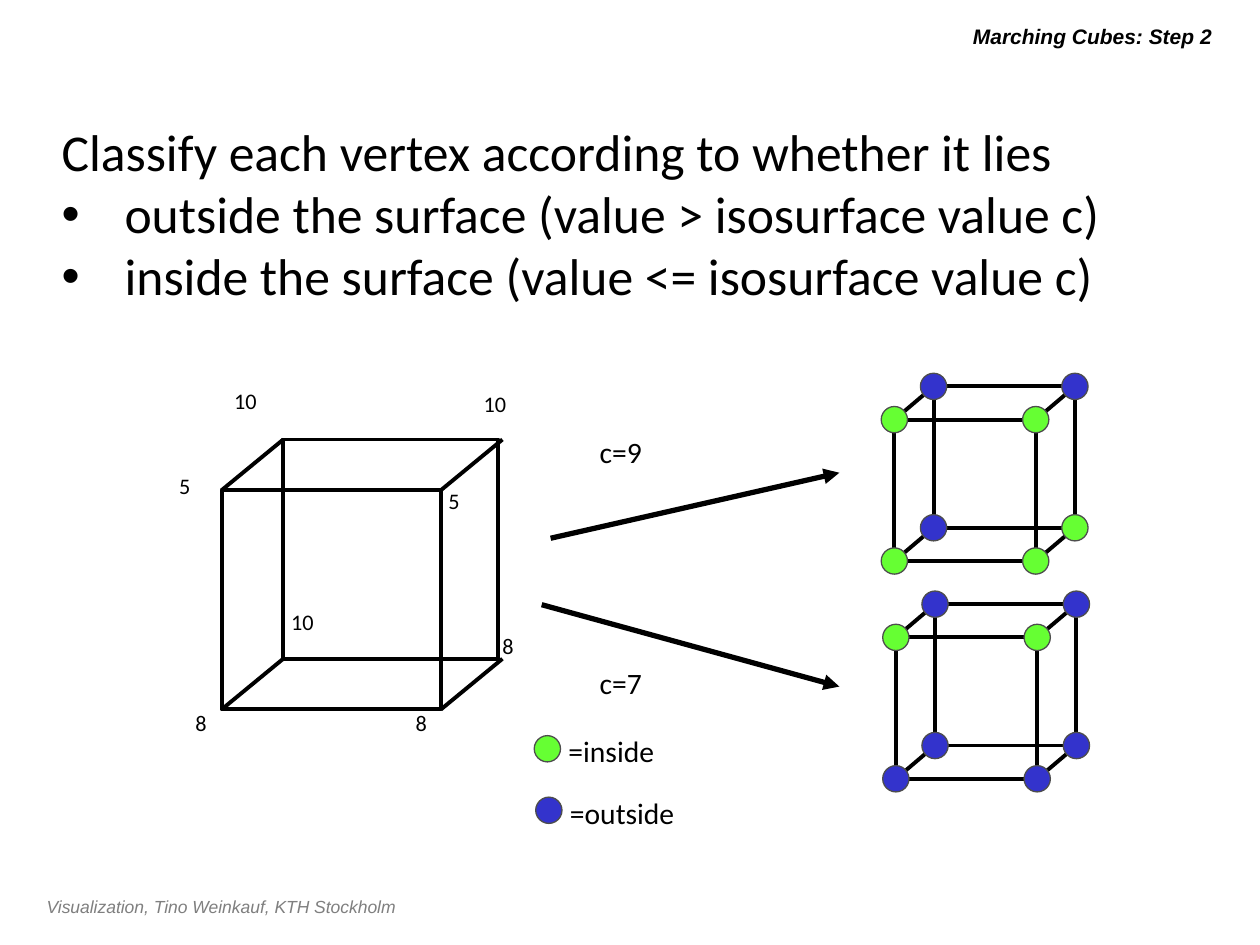
from itertools import product

from lxml import etree
from pptx import Presentation
from pptx import util as u
from pptx.dml.color import RGBColor
from pptx.enum import shapes, text
from pptx.oxml.ns import qn

COLORS = {"ink": "000000", "footer": "7F7F7F", "outline": "4D4D4D",
          "inside": "66FF33", "outside": "3333CC"}
TITLE = "Marching Cubes: Step 2"
FOOTER = "Visualization, Tino Weinkauf, KTH Stockholm"
INTRO = "Classify each vertex according to whether it lies"
CASES = ["outside the surface (value > isosurface value c)",
         "inside the surface (value <= isosurface value c)"]

VALUE_CUBE = {"left": 4.47, "top": 9.88, "front": 4.42, "back": 4.34, "shift": (1.24, 1.02)}
SMALL_CUBE = {"front": 2.85, "back": 2.85, "shift": (0.79, 0.67)}
VERTEX_VALUES = [("8", 3.94, 14.3), ("8", 8.38, 14.3), ("8", 10.13, 12.75),
                 ("5", 9.04, 9.83), ("5", 3.61, 9.53), ("10", 9.75, 7.87),
                 ("10", 4.72, 7.8), ("10", 5.87, 12.27)]
CLASSIFIED_CUBES = [
    {"left": 18.06, "top": 12.85, "inside": {("front", 0, 0), ("front", 1, 0)}},
    {"left": 18.03, "top": 8.46, "inside": {("front", 0, 0), ("front", 1, 0), ("front", 0, 1),
                                            ("front", 1, 1), ("back", 1, 1)}},
]
ARROWS = [(11.1, 10.85, 16.92, 9.53), (10.92, 12.19, 16.92, 13.84)]
THRESHOLDS = [("c=9", 12.09, 8.74), ("c=7", 12.09, 13.41)]
LEGEND = [("inside", 10.77, 14.83), ("outside", 10.8, 16.07)]
DOT = 0.53

VALUE_FONT = {"name": "Calibri", "size": u.Pt(12.7)}
LABEL_FONT = {"name": "Calibri", "size": u.Pt(16.9)}
BODY_FONT = {"name": "Calibri", "size": u.Pt(29.5)}
TITLE_FONT = {"name": "Arial", "size": u.Pt(12), "bold": True, "italic": True}
FOOTER_FONT = {"name": "Arial", "size": u.Pt(10), "italic": True}
FLUSH = {"margin_left": 0, "margin_top": 0, "margin_right": 0, "margin_bottom": 0}


def color(name):
    return RGBColor.from_string(COLORS[name])


def apply(target, values):
    for name, value in values.items():
        setattr(target, name, value)


def place(shape, left, top, width, height):
    apply(shape, {"left": u.Cm(left), "top": u.Cm(top),
                  "width": u.Cm(width), "height": u.Cm(height)})


def style_font(paragraph, font, ink="ink"):
    apply(paragraph.font, font)
    paragraph.font.color.rgb = color(ink)


def add_label(slide, words, box, font, frame_format=FLUSH, ink="ink"):
    frame = slide.shapes.add_textbox(*map(u.Cm, box)).text_frame
    apply(frame, {"word_wrap": True, **frame_format})
    frame.text = words
    style_font(frame.paragraphs[0], font, ink)


def add_line(container, ends, width, arrow=False):
    line = container.add_connector(shapes.MSO_CONNECTOR.STRAIGHT, *map(u.Cm, ends))
    line.line.color.rgb = color("ink")
    line.line.width = u.Pt(width)
    if arrow:
        etree.SubElement(line.line._get_or_add_ln(), qn("a:tailEnd"), type="triangle")
    etree.SubElement(line._element.spPr, qn("a:effectLst"))


def add_outlined(container, kind, box, outline, width, fill=None):
    shape = container.add_shape(kind, *map(u.Cm, box))
    shape.shadow.inherit = False
    if fill:
        shape.fill.solid()
        shape.fill.fore_color.rgb = color(fill)
    else:
        shape.fill.background()
    shape.line.color.rgb = color(outline)
    shape.line.width = u.Pt(width)


def add_dot(slide, left, top, state):
    add_outlined(slide.shapes, shapes.MSO_SHAPE.OVAL, (left, top, DOT, DOT),
                 "outline", 0.75, state)


def cube_vertices(cube):
    across, up = cube["shift"]
    origins = {"front": (cube["left"], cube["top"]),
               "back": (cube["left"] + across, cube["top"] - up)}
    return {(face, column, row): (x + column * cube["front"], y + row * cube["front"])
            for face, (x, y) in origins.items()
            for column, row in product((0, 1), repeat=2)}


def add_cube(slide, cube):
    vertices = cube_vertices(cube)
    group = slide.shapes.add_group_shape().shapes
    for face in ("front", "back"):
        add_outlined(group, shapes.MSO_SHAPE.RECTANGLE,
                     (*vertices[face, 0, 0], cube[face], cube["front"]), "ink", 2.25)
    for corner in product((0, 1), repeat=2):
        add_line(group, vertices[("front", *corner)] + vertices[("back", *corner)], 2.25)
    return vertices


def fill_body(body):
    place(body, 1.24, 2.41, 23.27, 3.78)
    frame = body.text_frame
    apply(frame, {**FLUSH, "vertical_anchor": text.MSO_ANCHOR.MIDDLE, "word_wrap": False})
    frame.text = "\n".join([INTRO, *CASES])
    for index, paragraph in enumerate(frame.paragraphs):
        properties = paragraph._p.get_or_add_pPr()
        indent = u.Cm(1.27) if index else 0
        properties.set("marL", str(indent))
        properties.set("indent", str(-indent))
        if index:
            etree.SubElement(properties, qn("a:buFont"), typeface="Arial")
            etree.SubElement(properties, qn("a:buChar"), char="•")
        else:
            etree.SubElement(properties, qn("a:buNone"))
        paragraph.space_before = u.Pt(0)
        style_font(paragraph, BODY_FONT)


def main():
    presentation = Presentation()
    apply(presentation, {"slide_width": u.Cm(25.4), "slide_height": u.Cm(19.05)})
    slide = presentation.slides.add_slide(presentation.slide_layouts[1])
    title, body = slide.placeholders

    place(title, 4.01, 0.33, 20.68, 0.79)
    title.text_frame.text = TITLE
    title.text_frame.vertical_anchor = text.MSO_ANCHOR.MIDDLE
    title.text_frame.paragraphs[0].alignment = text.PP_ALIGN.RIGHT
    style_font(title.text_frame.paragraphs[0], TITLE_FONT)
    fill_body(body)
    add_label(slide, FOOTER, (0.69, 17.93, 18.77, 0.69), FOOTER_FONT, {}, "footer")

    add_cube(slide, VALUE_CUBE)
    for value, left, top in VERTEX_VALUES:
        add_label(slide, value, (left, top, 1.4 if len(value) > 1 else 0.84, 1.14), VALUE_FONT)

    for cube in CLASSIFIED_CUBES:
        for vertex, (x, y) in add_cube(slide, {**SMALL_CUBE, **cube}).items():
            state = "inside" if vertex in cube["inside"] else "outside"
            add_dot(slide, x - DOT / 2, y - DOT / 2, state)

    for ends in ARROWS:
        add_line(slide.shapes, ends, 3, arrow=True)
    for words, left, top in THRESHOLDS:
        add_label(slide, words, (left, top, 3.05, 1.4), LABEL_FONT)
    for state, left, top in LEGEND:
        add_dot(slide, left, top, state)
        add_label(slide, f"={state}", (left + 0.69, top - 0.05, 4.57, 1.4), LABEL_FONT)

    presentation.save("out.pptx")


if __name__ == "__main__":
    main()
